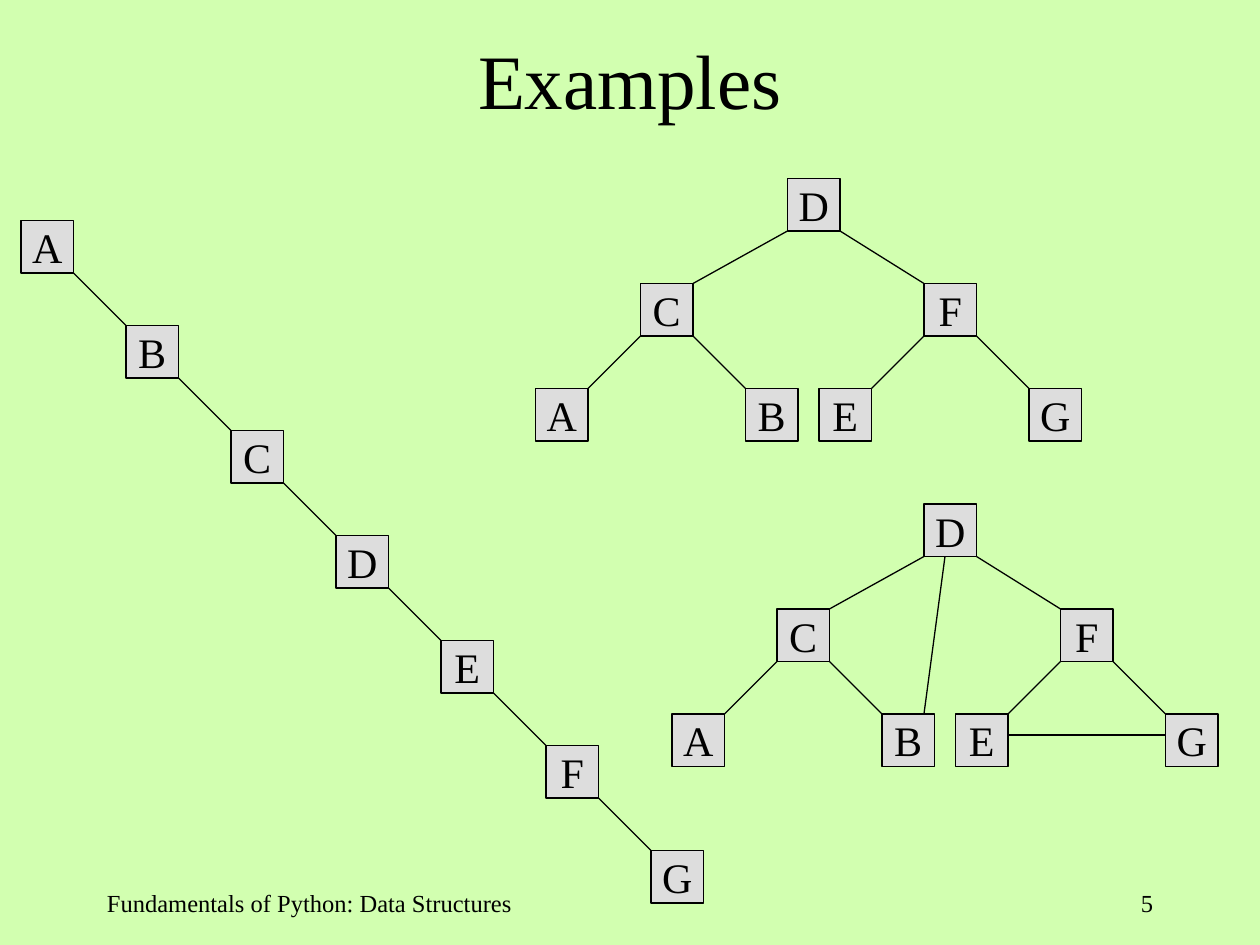
import pptx
import pptx.dml.color
import pptx.enum.shapes
import pptx.enum.text
import pptx.oxml.ns
import pptx.util
from lxml import etree

RGBColor = pptx.dml.color.RGBColor
Align = pptx.enum.text.PP_ALIGN
Anchor = pptx.enum.text.MSO_ANCHOR

BACKGROUND = RGBColor(0xD2, 0xFF, 0xB0)
NODE_FILL = RGBColor(0xDD, 0xDD, 0xDD)
BLACK = RGBColor(0, 0, 0)

COLUMNS, ROWS = 120, 90
NODE = 5  # side of a node, in grid cells

CHAIN = {letter: (2 + 10 * i, 21 + 10 * i) for i, letter in enumerate("ABCDEFG")}
CHAIN_EDGES = ["AB", "BC", "CD", "DE", "EF", "FG"]

TREE = {"D": (75, 17), "C": (61, 27), "F": (88, 27),
        "A": (51, 37), "B": (71, 37), "E": (78, 37), "G": (98, 37)}
TREE_EDGES = ["DC", "DF", "CA", "CB", "FE", "FG"]
GRAPH = {letter: (col + 13, row + 31) for letter, (col, row) in TREE.items()}


class GraphSlide:
    font = "Times New Roman"
    line_width = pptx.util.Pt(0.75)

    def __init__(self, presentation):
        self.cell_width = presentation.slide_width / COLUMNS
        self.cell_height = presentation.slide_height / ROWS
        self.slide = presentation.slides.add_slide(presentation.slide_layouts[5])
        self.slide.background.fill.solid()
        self.slide.background.fill.fore_color.rgb = BACKGROUND

    def x(self, col):
        return round(col * self.cell_width)

    def y(self, row):
        return round(row * self.cell_height)

    def box(self, col, row, cols, rows):
        return self.x(col), self.y(row), self.x(cols), self.y(rows)

    def set_text(self, shape, text, size, align, anchor):
        frame = shape.text_frame
        frame.text = text
        frame.word_wrap = True
        frame.vertical_anchor = anchor
        paragraph = frame.paragraphs[0]
        paragraph.alignment = align
        font = paragraph.runs[0].font
        font.name, font.size = self.font, pptx.util.Pt(size)
        font.color.rgb = BLACK

    def title(self, text, *place):
        title = self.slide.shapes.title
        title.left, title.top, title.width, title.height = self.box(*place)
        self.set_text(title, text, 44, Align.CENTER, Anchor.MIDDLE)

    def footer(self, text, align, *place):
        footer = self.slide.shapes.add_textbox(*self.box(*place))
        self.set_text(footer, text, 14, align, Anchor.TOP)

    def line(self, start, end):
        line = self.slide.shapes.add_connector(
            pptx.enum.shapes.MSO_CONNECTOR.STRAIGHT,
            self.x(start[0]), self.y(start[1]), self.x(end[0]), self.y(end[1]))
        line.line.color.rgb = BLACK
        line.line.width = self.line_width
        etree.SubElement(line._element.spPr, pptx.oxml.ns.qn("a:effectLst"))

    def node(self, letter, col, row):
        node = self.slide.shapes.add_shape(
            pptx.enum.shapes.MSO_SHAPE.RECTANGLE, *self.box(col, row, NODE, NODE))
        node.shadow.inherit = False
        node.fill.solid()
        node.fill.fore_color.rgb = NODE_FILL
        node.line.color.rgb = BLACK
        node.line.width = self.line_width
        frame = node.text_frame
        frame.margin_left = frame.margin_right = 0
        frame.margin_top = frame.margin_bottom = 0
        self.set_text(node, letter, 24, Align.CENTER, Anchor.MIDDLE)

    def edge(self, parent, child):
        """Join the parent's lower corner to the child's facing upper corner."""
        (parent_col, parent_row), (child_col, child_row) = parent, child
        if child_col < parent_col:
            child_col += NODE
        else:
            parent_col += NODE
        self.line((parent_col, parent_row + NODE), (child_col, child_row))

    def graph(self, nodes, edges):
        for parent, child in edges:
            self.edge(nodes[parent], nodes[child])
        for letter, place in nodes.items():
            self.node(letter, *place)


def main():
    presentation = pptx.Presentation()
    presentation.slide_width = pptx.util.Inches(10)
    presentation.slide_height = pptx.util.Inches(7.5)

    slide = GraphSlide(presentation)
    slide.title("Examples", 9, 0, 102, 15)
    slide.graph(TREE, TREE_EDGES)
    slide.graph(CHAIN, CHAIN_EDGES)
    slide.graph(GRAPH, TREE_EDGES)
    slide.line((90, 53), (88, 68))  # D to B
    slide.line((96, 70), (111, 70))  # E to G
    slide.footer("Fundamentals of Python: Data Structures", Align.LEFT, 9, 84, 45, 6)
    slide.footer("5", Align.RIGHT, 86, 84, 25, 6)

    presentation.save("out.pptx")


if __name__ == "__main__":
    main()
